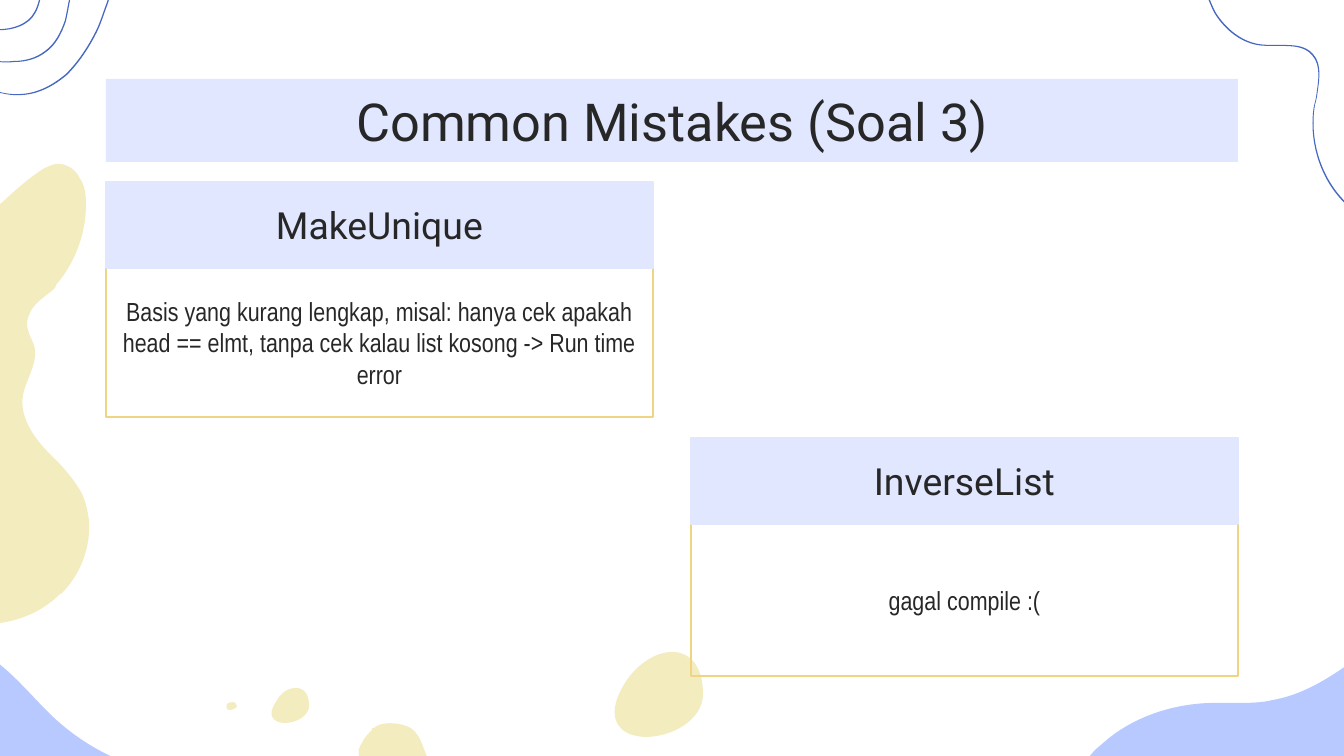
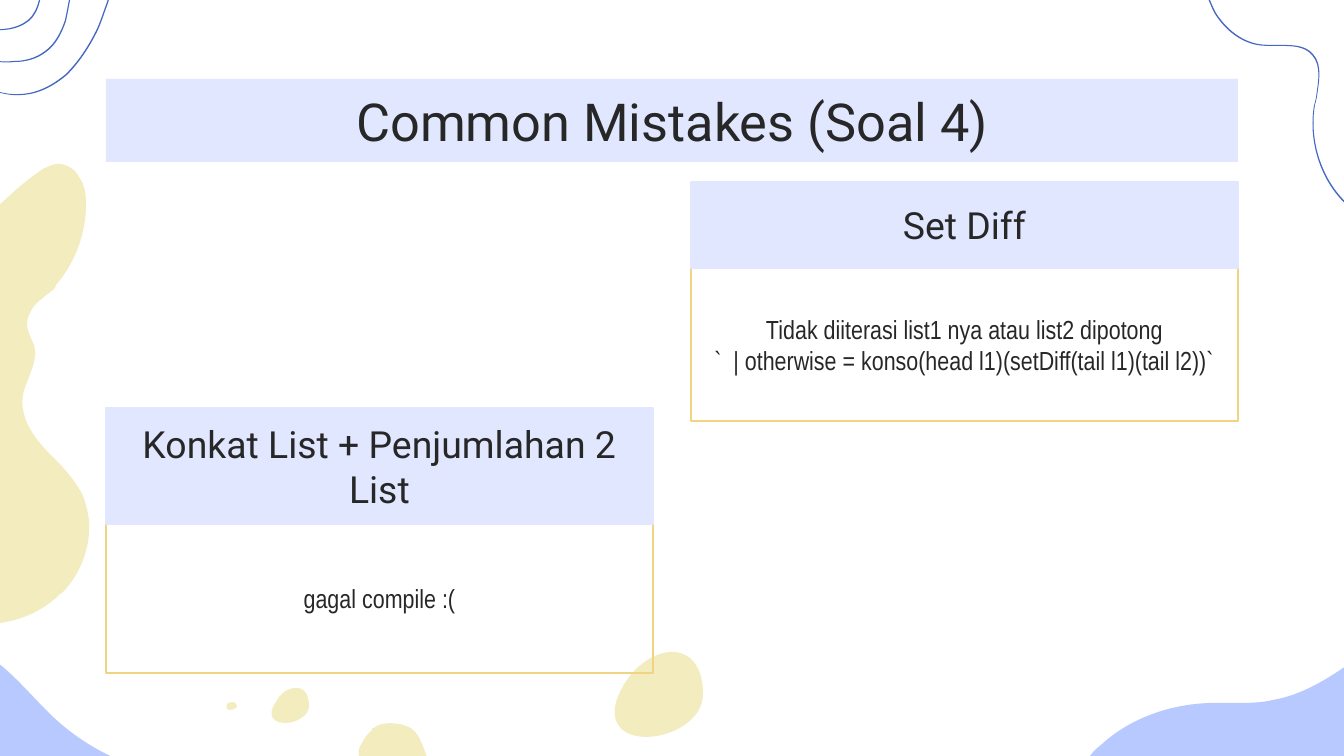
import lxml.etree
import pptx
import pptx.dml.color
import pptx.enum.shapes
import pptx.enum.text
import pptx.oxml.ns
import pptx.util

EMU_PER_PX = 914400 / 134.4
SLIDE_WIDTH, SLIDE_HEIGHT = 1344, 756

INK = "272727"
LAVENDER = "E0E7FF"
PERIWINKLE = "B8C9FF"
CREAM = "F3ECBF"
GOLD = "F1D482"
BLUE = "4668C1"

HEADING_FONT, BODY_FONT = "Roboto", "Arial Narrow"
LEFT_COLUMN, RIGHT_COLUMN, CARD_WIDTH = 106, 691, 547
TEXT_INSET = 13

# An outline is a start point, then lines (x, y) and cubic curves
# (control 1, control 2, end), all in px.
RIGHT_HILL = [
    (1353, 661), (1328, 679, 1302, 695, 1273, 700),
    (1261, 703, 1249, 703, 1235, 703), (1232, 703, 1230, 703, 1227, 703),
    (1222, 703, 1216, 703, 1211, 703),
    (1171, 704, 1130, 718, 1101, 745), (1093, 751, 1087, 759, 1082, 769),
    (1353, 767), (1353, 661),
]
LEFT_HILL = [
    (-110, 625), (-141, 625, -172, 633, -200, 648),
    (-211, 653, -220, 659, -230, 665), (-250, 680, -269, 699, -282, 720),
    (-293, 739, -300, 762, -293, 782), (-288, 798, -277, 810, -265, 821),
    (-243, 837, -219, 845, -192, 851), (-163, 855, -132, 859, -102, 863),
    (-67, 867, -32, 870, 3, 870), (60, 870, 116, 863, 168, 840),
    (179, 836, 191, 829, 194, 817), (195, 812, 194, 806, 192, 802),
    (190, 793, 183, 786, 175, 781), (168, 777, 159, 774, 151, 771),
    (113, 761, 77, 741, 48, 712), (28, 692, 11, 671, -13, 655),
    (-44, 634, -77, 625, -110, 625),
]
LEFT_BLOB = [
    (-63, 262), (-94, 293, -121, 327, -146, 362),
    (-167, 391, -185, 423, -183, 457), (-180, 480, -171, 500, -159, 519),
    (-148, 538, -134, 555, -121, 573), (-99, 599, -75, 617, -42, 622),
    (-5, 629, 34, 620, 60, 594), (60, 594, 62, 594, 62, 593),
    (81, 574, 91, 546, 89, 520), (87, 508, 85, 497, 78, 487),
    (71, 476, 62, 466, 54, 458), (36, 441, 19, 419, 23, 395),
    (26, 379, 39, 362, 34, 345), (30, 335, 23, 325, 30, 313),
    (31, 310, 34, 306, 36, 304), (42, 298, 48, 294, 54, 289),
    (55, 288, 56, 286, 56, 285), (75, 263, 86, 234, 86, 204),
    (86, 195, 85, 185, 79, 177), (75, 169, 66, 163, 56, 164),
    (51, 165, 47, 167, 43, 169), (20, 184, 1, 204, -19, 222),
    (-34, 235, -48, 249, -63, 262),
]
TINY_PEBBLE = [
    (233, 702), (231, 702, 228, 703, 227, 704), (226, 708, 227, 710, 230, 710),
    (233, 710, 237, 708, 237, 706), (237, 703, 234, 702, 233, 702),
]
SMALL_PEBBLE = [
    (296, 688), (289, 688, 281, 692, 276, 702), (266, 716, 274, 723, 285, 723),
    (296, 723, 309, 716, 309, 706), (309, 694, 304, 688, 296, 688),
]
EDGE_PEBBLE = [
    (427, 781), (429, 780, 430, 777, 431, 774), (433, 770, 431, 766, 430, 763),
    (423, 751, 421, 730, 406, 726), (396, 722, 380, 722, 374, 728),
    (372, 728, 372, 728, 372, 730),
    (368, 734, 364, 738, 362, 743), (359, 747, 358, 751, 359, 757),
    (362, 766, 371, 767, 382, 769), (387, 769, 392, 770, 396, 773),
    (402, 777, 406, 784, 414, 785), (419, 785, 423, 784, 427, 781),
]
LARGE_PEBBLE = [
    (672, 652), (656, 652, 637, 664, 625, 683), (602, 720, 621, 737, 646, 737),
    (672, 737, 703, 720, 703, 694), (703, 665, 689, 652, 672, 652),
]
INNER_RING = [
    (-11, 29), (2, 30, 17, 29, 28, 20), (34, 15, 37, 8, 39, 0),
    (40, -3, 40, -7, 41, -11),
]
MIDDLE_RING = [
    (-11, 60), (-3, 61, 5, 62, 13, 61), (25, 61, 36, 58, 45, 51),
    (55, 44, 61, 32, 65, 20), (67, 11, 69, -1, 71, -11),
]
OUTER_RING = [
    (-11, 88), (-1, 93, 11, 95, 22, 94), (38, 93, 53, 85, 66, 74),
    (78, 62, 88, 47, 96, 31), (100, 23, 103, 13, 106, 5),
    (108, 0, 109, -5, 110, -11),
]
CORNER_WAVE = [
    (1196, -35), (1203, -18, 1207, -1, 1215, 14),
    (1226, 31, 1241, 42, 1257, 45), (1262, 46, 1269, 46, 1274, 46),
    (1276, 46, 1277, 46, 1279, 46),
    (1292, 46, 1304, 46, 1312, 55), (1322, 66, 1318, 83, 1316, 98),
    (1315, 101, 1315, 104, 1314, 106),
    (1308, 142, 1321, 183, 1349, 207), (1365, 219, 1387, 227, 1407, 227),
    (1423, 227, 1439, 223, 1453, 215),
]


def px(length):
    return pptx.util.Emu(round(length * EMU_PER_PX))


def color(value):
    return pptx.dml.color.RGBColor.from_string(value)


def paint(shape, fill=None, line=None):
    if fill:
        shape.fill.solid()
        shape.fill.fore_color.rgb = color(fill)
    else:
        shape.fill.background()
    if line:
        shape.line.color.rgb = color(line)
        shape.line.width = pptx.util.Pt(0.75)
    else:
        shape.line.fill.background()


def point_pairs(segment):
    return list(zip(segment[::2], segment[1::2]))


def ribbon(outline, dx, dy):
    """Close an open curve into a thin band by tracing it back, shifted by (dx, dy)."""
    points = [point for segment in outline for point in point_pairs(segment)]
    back = [(x + dx, y + dy) for x, y in reversed(points)]
    curves = [sum(back[i:i + 3], ()) for i in range(1, len(back), 3)]
    return outline + [back[0]] + curves


def add_outline(slide, outline, fill):
    """Add a filled freeform whose six-number segments become cubic curves."""
    start, *vertices = [(px(x), px(y)) for segment in outline
                        for x, y in point_pairs(segment)]
    builder = slide.shapes.build_freeform(*start)
    builder.add_line_segments(vertices, close=True)
    shape = builder.convert_to_shape()

    line_steps = iter(shape.element.xpath(".//a:path/a:lnTo"))
    for segment in outline[1:]:
        step = next(line_steps)
        if len(segment) == 6:
            curve = lxml.etree.Element(pptx.oxml.ns.qn("a:cubicBezTo"))
            step.addprevious(curve)
            for control in (step, next(line_steps), next(line_steps)):
                curve.append(control[0])
                control.getparent().remove(control)

    shape.shadow.inherit = False
    paint(shape, fill=fill)
    return shape


def decorate_layout(layout, slide):
    """Draw the background art on a slide and move it to the layout all slides share."""
    rings = [ribbon(ring, 1, 1) for ring in (INNER_RING, MIDDLE_RING, OUTER_RING)]
    art = [
        (RIGHT_HILL, PERIWINKLE),
        *[(ring, BLUE) for ring in rings],
        (LEFT_HILL, PERIWINKLE),
        *[(blob, CREAM) for blob in (TINY_PEBBLE, SMALL_PEBBLE, LEFT_BLOB, EDGE_PEBBLE)],
        (ribbon(CORNER_WAVE, 1, -1), BLUE),
        (LARGE_PEBBLE, CREAM),
    ]
    for outline, fill in art:
        layout.shapes.element.append(add_outline(slide, outline, fill).element)


def write(shape, text, font, size, before=0, after=0):
    frame = shape.text_frame
    frame.word_wrap = True
    frame.auto_size = pptx.enum.text.MSO_AUTO_SIZE.NONE
    frame.vertical_anchor = pptx.enum.text.MSO_ANCHOR.MIDDLE
    frame.margin_left = frame.margin_right = px(TEXT_INSET)
    frame.margin_top = frame.margin_bottom = px(TEXT_INSET)
    paragraph = frame.paragraphs[0]
    paragraph.text = text
    paragraph.alignment = pptx.enum.text.PP_ALIGN.CENTER
    paragraph.space_before = pptx.util.Pt(before)
    paragraph.space_after = pptx.util.Pt(after)
    paragraph.font.name = font
    paragraph.font.size = pptx.util.Pt(size)
    paragraph.font.color.rgb = color(INK)


def set_title(slide, text):
    title = slide.shapes.title
    title.left, title.top, title.width, title.height = map(px, (106, 79, 1132, 83))
    paint(title, fill=LAVENDER)
    write(title, text, HEADING_FONT, 28)


def add_box(slide, left, top, height, **style):
    box = slide.shapes.add_shape(pptx.enum.shapes.MSO_SHAPE.RECTANGLE,
                                 px(left), px(top), px(CARD_WIDTH), px(height))
    box.shadow.inherit = False
    paint(box, **style)
    return box


def add_card(slide, left, top, heading_height, body_height, heading, body):
    explanation = add_box(slide, left, top + heading_height, body_height, line=GOLD)
    write(explanation, body, BODY_FONT, 14, before=16, after=16)
    header = add_box(slide, left, top, heading_height, fill=LAVENDER, line=LAVENDER)
    write(header, heading, HEADING_FONT, 20, after=16)


def main():
    deck = pptx.Presentation()
    deck.slide_width, deck.slide_height = px(SLIDE_WIDTH), px(SLIDE_HEIGHT)
    title_only = deck.slide_layouts[5]

    problem_3 = deck.slides.add_slide(title_only)
    decorate_layout(title_only, problem_3)
    set_title(problem_3, "Common Mistakes (Soal 3)")
    add_card(problem_3, RIGHT_COLUMN, 438, 86, 152, "InverseList", "gagal compile :(")
    add_card(problem_3, LEFT_COLUMN, 182, 86, 149, "MakeUnique",
             "Basis yang kurang lengkap, misal: hanya cek apakah head == elmt, "
             "tanpa cek kalau list kosong -> Run time error")

    problem_4 = deck.slides.add_slide(title_only)
    set_title(problem_4, "Common Mistakes (Soal 4)")
    add_card(problem_4, LEFT_COLUMN, 408, 116, 149,
             "Konkat List + Penjumlahan 2 List", "gagal compile :(")
    add_card(problem_4, RIGHT_COLUMN, 182, 86, 153, "Set Diff",
             "Tidak diiterasi list1 nya atau list2 dipotong\n"
             "`  | otherwise = konso(head l1)(setDiff(tail l1)(tail l2))`")

    deck.save("out.pptx")


if __name__ == "__main__":
    main()
